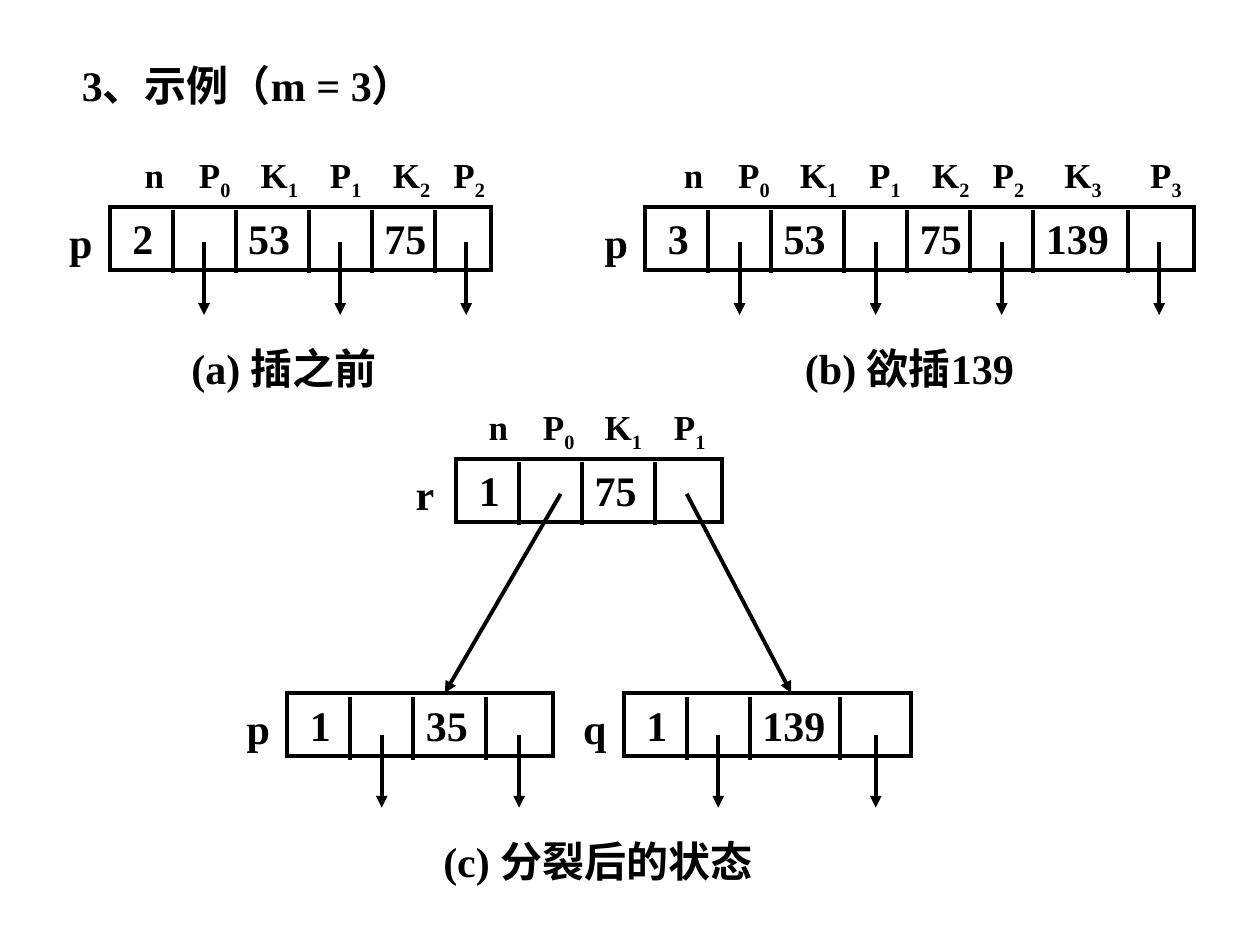
import pptx
import pptx.util
import pptx.dml.color
import pptx.enum.shapes
import pptx.enum.text
import pptx.oxml.ns
from lxml import etree
from pptx.util import Inches

COLORS = {"ink": "000000"}
INK = pptx.dml.color.RGBColor.from_string(COLORS["ink"])
FONT = "Times New Roman"
LINE_WIDTH = pptx.util.Pt(2.25)
qn = pptx.oxml.ns.qn

deck = pptx.Presentation()
deck.slide_width, deck.slide_height = Inches(10), Inches(7.5)
page = deck.slides.add_slide(deck.slide_layouts[5])


def write(box, text, size=24, tabs=(), left_margin=0.1, right_margin=0.1):
    """Fill a shape with one line; "_" makes the next character a subscript."""
    frame = box.text_frame
    frame.word_wrap = bool(tabs)
    frame.auto_size = pptx.enum.text.MSO_AUTO_SIZE.NONE
    frame.vertical_anchor = pptx.enum.text.MSO_ANCHOR.TOP
    frame.margin_left, frame.margin_right = Inches(left_margin), Inches(right_margin)
    frame.margin_top = frame.margin_bottom = Inches(0.05)
    para = frame.paragraphs[0]
    para.alignment = pptx.enum.text.PP_ALIGN.LEFT
    if tabs:
        stops = etree.SubElement(para._p.get_or_add_pPr(), qn("a:tabLst"))
        for tab in tabs:
            etree.SubElement(stops, qn("a:tab"), pos=str(Inches(tab)), algn="l")
    first, *rest = text.split("_")
    pieces = [(first, False)]
    for part in rest:
        pieces += [(part[0], True), (part[1:], False)]
    for piece, lowered in pieces:
        if not piece:
            continue
        span = para.add_run()
        span.text = piece
        span.font.name, span.font.size = FONT, pptx.util.Pt(size)
        span.font.bold = True
        span.font.color.rgb = INK
        if lowered:
            span.font._element.set("baseline", "-25000")


def draw_line(x1, y1, x2, y2, arrow=False):
    line = page.shapes.add_connector(
        pptx.enum.shapes.MSO_CONNECTOR.STRAIGHT,
        Inches(x1), Inches(y1), Inches(x2), Inches(y2))
    line.line.color.rgb = INK
    line.line.width = LINE_WIDTH
    if arrow:
        etree.SubElement(line.line._get_or_add_ln(), qn("a:tailEnd"), type="triangle")
    etree.SubElement(line._element.spPr, qn("a:effectLst"))


# Title, in a box with room to stay on one line
title = page.shapes.title
title.left, title.top, title.width, title.height = map(Inches, (0.55, 0.42, 3.4, 0.5))
write(title, "3、示例（m = 3）", right_margin=0)

# Tree nodes: offsets of dividers and pointers are from the node's left side
KEY_TABS = (0.92, 2, 3)
HEADER_TABS = (0.43, 0.92, 1.47, 1.97, 2.45, 3.02, 3.7)
nodes = [
    dict(name="p", left=0.87, top=1.64, width=3.03, keys="2\t53\t75",
         header="n\tP_0\tK_1\tP_1\tK_2\tP_2", header_left=1.05, header_width=2.9,
         dividers=(0.5, 1, 1.58, 2.08, 2.58), pointers=(0.75, 1.83, 2.83), drop=0.28),
    dict(name="p", left=5.12, top=1.64, width=4.36, keys="3\t53\t75\t139",
         header="n\tP_0\tK_1\tP_1\tK_2\tP_2\tK_3\tP_3", header_left=5.33, header_width=4.16,
         dividers=(0.5, 1, 1.58, 2.08, 2.58, 3.08, 3.83),
         pointers=(0.75, 1.83, 2.83, 4.08), drop=0.28),
    dict(name="r", left=3.62, top=3.64, width=2.11, keys="1\t75",
         header="n\tP_0\tK_1\tP_1", header_left=3.78, header_width=1.92,
         dividers=(0.5, 1, 1.58), pointers=(), drop=0),
    dict(name="p", left=2.28, top=5.5, width=2.11, keys="1\t35", header="",
         dividers=(0.5, 1, 1.58), pointers=(0.75, 1.84), drop=0.33),
    dict(name="q", left=4.95, top=5.5, width=2.28, keys="1\t139", header="",
         dividers=(0.5, 1, 1.72), pointers=(0.75, 2), drop=0.33),
]
for node in nodes:
    left, top = node["left"], node["top"]
    box = page.shapes.add_shape(
        pptx.enum.shapes.MSO_SHAPE.RECTANGLE,
        Inches(left), Inches(top), Inches(node["width"]), Inches(0.5))
    box.shadow.inherit = False
    box.fill.background()
    box.line.color.rgb = INK
    box.line.width = LINE_WIDTH
    etree.SubElement(box.line._get_or_add_ln(), qn("a:miter"), lim="800000")
    write(box, node["keys"], tabs=KEY_TABS[:node["keys"].count("\t")], left_margin=0.18)

    for offset in node["dividers"]:
        draw_line(left + offset, top + 0.03, left + offset, top + 0.53)

    name = page.shapes.add_textbox(
        Inches(left - 0.42), Inches(top + 0.03), Inches(0.38), Inches(0.5))
    write(name, node["name"])

    if node["header"]:
        header = page.shapes.add_textbox(
            Inches(node["header_left"]), Inches(top - 0.47),
            Inches(node["header_width"]), Inches(0.48))
        write(header, node["header"], size=20, right_margin=0,
              tabs=HEADER_TABS[:node["header"].count("\t")])

    for offset in node["pointers"]:
        start = top + node["drop"]
        draw_line(left + offset, start, left + offset, start + 0.58, arrow=True)

# Pointers from the root to its children
draw_line(4.45, 3.92, 3.53, 5.5, arrow=True)
draw_line(5.45, 3.92, 6.28, 5.5, arrow=True)

# Captions
for text, left, top, width in [
    ("(a) 插之前", 1.42, 2.67, 1.75),
    ("(b) 欲插139", 6.29, 2.67, 2.01),
    ("(c) 分裂后的状态", 3.42, 6.58, 2.73),
]:
    caption = page.shapes.add_textbox(Inches(left), Inches(top), Inches(width), Inches(0.5))
    write(caption, text)

deck.save("out.pptx")
